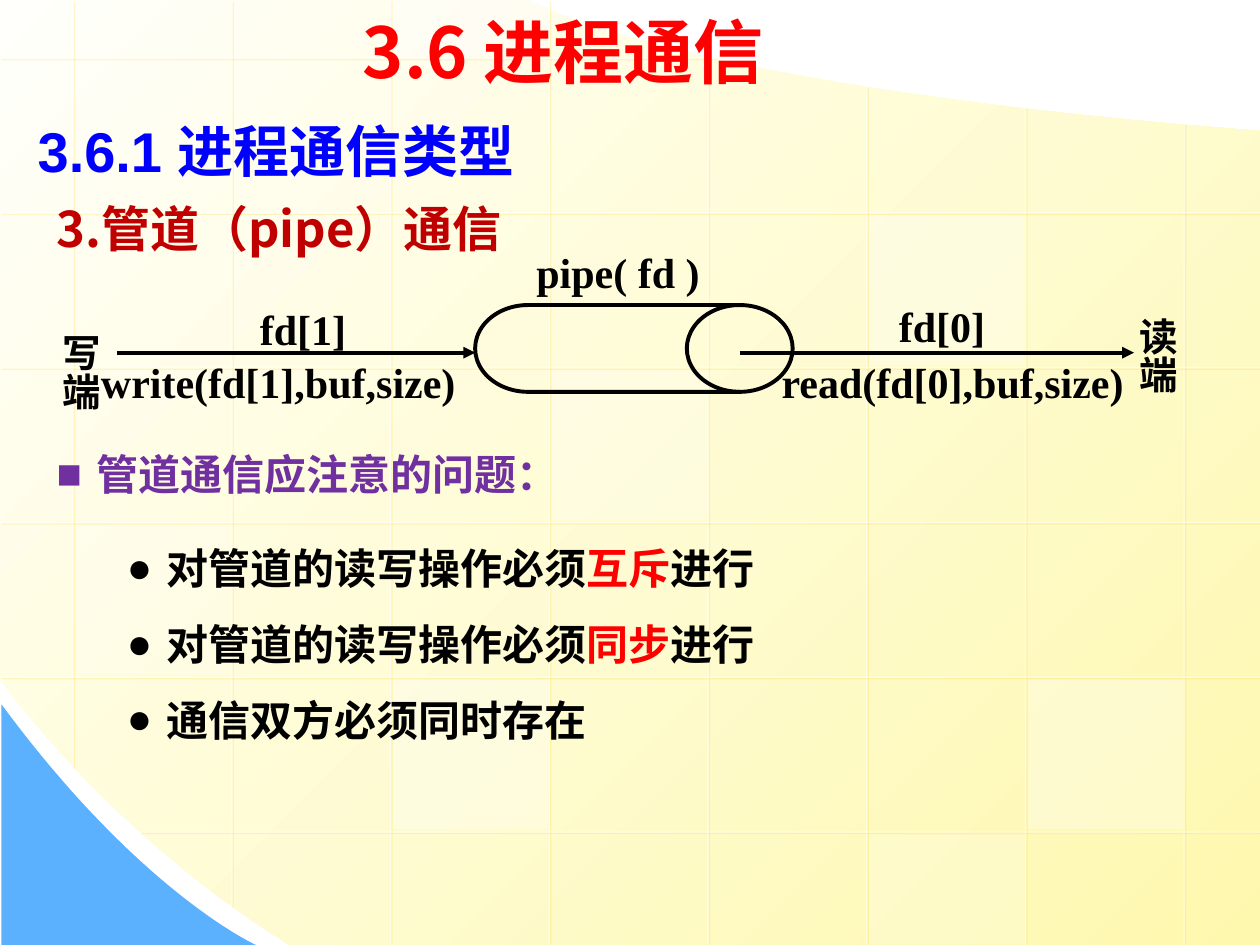
"""Builds the slide on pipe communication between processes."""
from dataclasses import dataclass

from lxml import etree
from pptx import Presentation
from pptx.dml.color import RGBColor
from pptx.enum.shapes import MSO_CONNECTOR, MSO_SHAPE
from pptx.enum.text import MSO_ANCHOR, MSO_AUTO_SIZE, PP_ALIGN
from pptx.oxml.ns import qn
from pptx.util import Cm, Pt

STRAIGHT = MSO_CONNECTOR.STRAIGHT
RECTANGLE = MSO_SHAPE.RECTANGLE
DRUM = MSO_SHAPE.FLOWCHART_DIRECT_ACCESS_STORAGE
TOP, MIDDLE, BOTTOM = MSO_ANCHOR.TOP, MSO_ANCHOR.MIDDLE, MSO_ANCHOR.BOTTOM
LEFT, CENTER = PP_ALIGN.LEFT, PP_ALIGN.CENTER
FIXED = MSO_AUTO_SIZE.NONE


@dataclass(frozen=True)
class Theme:
    white: str = "FFFFFF"
    cream: str = "FFFFFB"
    yellow: str = "FEF8AF"
    sky: str = "5CB1FE"
    glow: str = "FFCC00"
    black: str = "000000"
    red: str = "FF0000"
    blue: str = "0000FF"
    crimson: str = "C00000"
    purple: str = "7030A0"
    title: int = 40
    section: int = 32
    topic: int = 28
    body: int = 24
    side: int = 22
    sans: str = "Noto Sans CJK SC"
    latin: str = "Arial"
    serif: str = "Times New Roman"


theme = Theme()


def curve(start, first, second, end, steps=40):
    points = []
    for step in range(1, steps + 1):
        t = step / steps
        weights = ((1 - t) ** 3, 3 * t * (1 - t) ** 2, 3 * t * t * (1 - t), t ** 3)
        points.append(tuple(
            sum(weight * point[axis] for weight, point in zip(weights, (start, first, second, end)))
            for axis in (0, 1)))
    return points


def write(box, *lines, size=theme.body, font=theme.serif, asian=None, color=theme.black,
          align=LEFT, anchor=MIDDLE, wrap=True, bullet=None, spacing=None, vertical=False):
    frame = box.text_frame
    frame.word_wrap = wrap
    frame.auto_size = FIXED
    frame.vertical_anchor = anchor
    if vertical:
        box.element.find(".//" + qn("a:bodyPr")).set("vert", "eaVert")
    for index, line in enumerate(lines):
        para = frame.add_paragraph() if index else frame.paragraphs[0]
        para.alignment = align
        if spacing:
            para.line_spacing = spacing
        if bullet:
            properties = para._p.get_or_add_pPr()
            properties.set("marL", str(Cm(0.8)))
            properties.set("indent", str(-Cm(0.8)))
            etree.SubElement(properties, qn("a:buFont")).set("typeface", theme.latin)
            etree.SubElement(properties, qn("a:buChar")).set("char", bullet)
        for text, tint in [(line, color)] if isinstance(line, str) else line:
            span = para.add_run()
            span.text = text
            span.font.size = Pt(size)
            span.font.bold = True
            span.font.color.rgb = RGBColor.from_string(tint)
            span.font.name = font
            etree.SubElement(span.font._element, qn("a:ea")).set("typeface", asian or font)


deck = Presentation()
deck.slide_width, deck.slide_height = Cm(25.4), Cm(19.05)
page = deck.slides.add_slide(deck.slide_layouts[5])
shapes = page.shapes

backdrop = [(25.4, 2.64), (25.4, 19.05), (5.84, 19.05),
            *curve((5.84, 19.05), (2.18, 16.79), (0, 13.69), (0, 13.69)),
            (0, 0), (10.69, 0),
            *curve((10.69, 0), (10.69, 0.03), (13.64, 1.75), (25.4, 2.64))]
corner = [(0.03, 14.2), (0.03, 19.05), (5.16, 19.05),
          *curve((5.16, 19.05), (5.16, 19.05), (2.84, 18.01), (0.03, 14.2))]
for outline, fill_color in ((backdrop, None), (corner, theme.sky)):
    points = [(Cm(x), Cm(y)) for x, y in outline]
    builder = shapes.build_freeform(*points[0])
    builder.add_line_segments(points[1:], close=True)
    area = builder.convert_to_shape()
    area.shadow.inherit = False
    area.line.fill.background()
    if fill_color:
        area.fill.solid()
        area.fill.fore_color.rgb = RGBColor.from_string(fill_color)
    else:
        area.fill.gradient()
        area.fill.gradient_angle = 315
        for stop, color in zip(area.fill.gradient_stops, (theme.cream, theme.yellow)):
            stop.color.rgb = RGBColor.from_string(color)

columns = [1.47 + 3.2 * index for index in range(8)]
rows = [1.17 + 3.12 * index for index in range(6)]
column_tops = (0, 0, 0, 0, 1.09, 1.73, 2.16, 2.49)
column_ends = (15.47, 18.26) + (19.05,) * 6
row_starts = (0, 0, 0, 0, 0, 2.82)
row_ends = (14.43,) + (25.4,) * 5
grid = [(x, top, x, end) for x, top, end in zip(columns, column_tops, column_ends)]
grid += [(end, y, start, y) for y, start, end in zip(rows, row_starts, row_ends)]
for ends in grid:
    rule = shapes.add_connector(STRAIGHT, *map(Cm, ends))
    rule.line.width = Pt(0.75)
    rule.line.color.rgb = RGBColor.from_string(theme.white)
    tint = rule.element.find(".//" + qn("a:srgbClr"))
    etree.SubElement(tint, qn("a:alpha"), val="50000")
    effects = etree.SubElement(rule.element.spPr, qn("a:effectLst"))
    shadow = etree.SubElement(effects, qn("a:outerShdw"), dist=str(Pt(1.4)), dir="2700000")
    glow = etree.SubElement(shadow, qn("a:srgbClr"), val=theme.glow)
    etree.SubElement(glow, qn("a:alpha"), val="34000")

for column, top, height, opacity in (
        (3, rows[2] + 0.06, 3, 25), (6, rows[4] + 0.06, 3, 30),
        (0, rows[3] + 0.06, 3, 20), (5, rows[5] + 0.06, 2.21, 20),
        (2, 0, 1.12, 40), (2, rows[4] + 0.06, 3, 30), (5, rows[1] + 0.06, 3, 30)):
    tile = shapes.add_shape(RECTANGLE, Cm(columns[column] + 0.06), Cm(top), Cm(3.12), Cm(height))
    tile.shadow.inherit = False
    tile.line.fill.background()
    tile.fill.solid()
    tile.fill.fore_color.rgb = RGBColor.from_string(theme.white)
    tint = tile.element.find(".//" + qn("a:srgbClr"))
    etree.SubElement(tint, qn("a:alpha"), val=str(opacity * 1000))

drum = shapes.add_shape(DRUM, Cm(9.58), Cm(6.15), Cm(6.4), Cm(1.75))
drum.shadow.inherit = False
drum.fill.background()
drum.line.width = Pt(2.25)
drum.line.color.rgb = RGBColor.from_string(theme.black)

for start, end in ((2.36, 9.58), (14.91, 22.86)):
    arrow = shapes.add_connector(STRAIGHT, Cm(start), Cm(7.11), Cm(end), Cm(7.11))
    arrow.line.width = Pt(2.25)
    arrow.line.color.rgb = RGBColor.from_string(theme.black)
    etree.SubElement(arrow.line._get_or_add_ln(), qn("a:tailEnd"), type="triangle")
    etree.SubElement(arrow.element.spPr, qn("a:effectLst"))

label = dict(align=CENTER, wrap=False)
side = dict(size=theme.side, asian=theme.sans, align=CENTER, vertical=True)
for text, place, style in (
        ("写端", (0.89, 6.48, 1.45, 2.16), side),
        ("读端", (22.61, 6.15, 1.45, 2.16), side),
        ("fd[1]", (4.98, 5.99, 2.26, 1.27), label),
        ("fd[0]", (17.86, 5.94, 2.26, 1.27), label),
        ("write(fd[1],buf,size)", (1.75, 7.06, 7.72, 1.27), label),
        ("read(fd[0],buf,size)", (15.47, 7.06, 7.47, 1.27), label),
        ("pipe( fd )", (10.54, 4.85, 3.84, 1.27), label),
        ("3.6.1 进程通信类型", (0.51, 1.93, 14.2, 2.21),
         dict(size=theme.section, font=theme.latin, color=theme.blue)),
        ("3.管道（pipe）通信", (0.89, 3.94, 11.4, 1.37),
         dict(size=theme.topic, font=theme.sans, color=theme.crimson, anchor=BOTTOM)),
        ("管道通信应注意的问题：", (0.89, 8.92, 16.79, 1.27),
         dict(font=theme.sans, color=theme.purple, bullet="■"))):
    write(shapes.add_textbox(*map(Cm, place)), text, **style)

rules = [[("对管道的读写操作必须", theme.black), (word, theme.red), ("进行", theme.black)]
         for word in ("互斥", "同步")]
write(shapes.add_textbox(Cm(2.31), Cm(10.31), Cm(16.79), Cm(4.88)), *rules, "通信双方必须同时存在",
      font=theme.latin, anchor=TOP, bullet="●", spacing=1.5)

title = shapes.title
title.left, title.top, title.width, title.height = Cm(7.06), Cm(-0.08), Cm(10.44), Cm(2.18)
write(title, "3.6 进程通信", size=theme.title, font=theme.sans, color=theme.red)
title.element.getparent().append(title.element)

deck.save("out.pptx")
